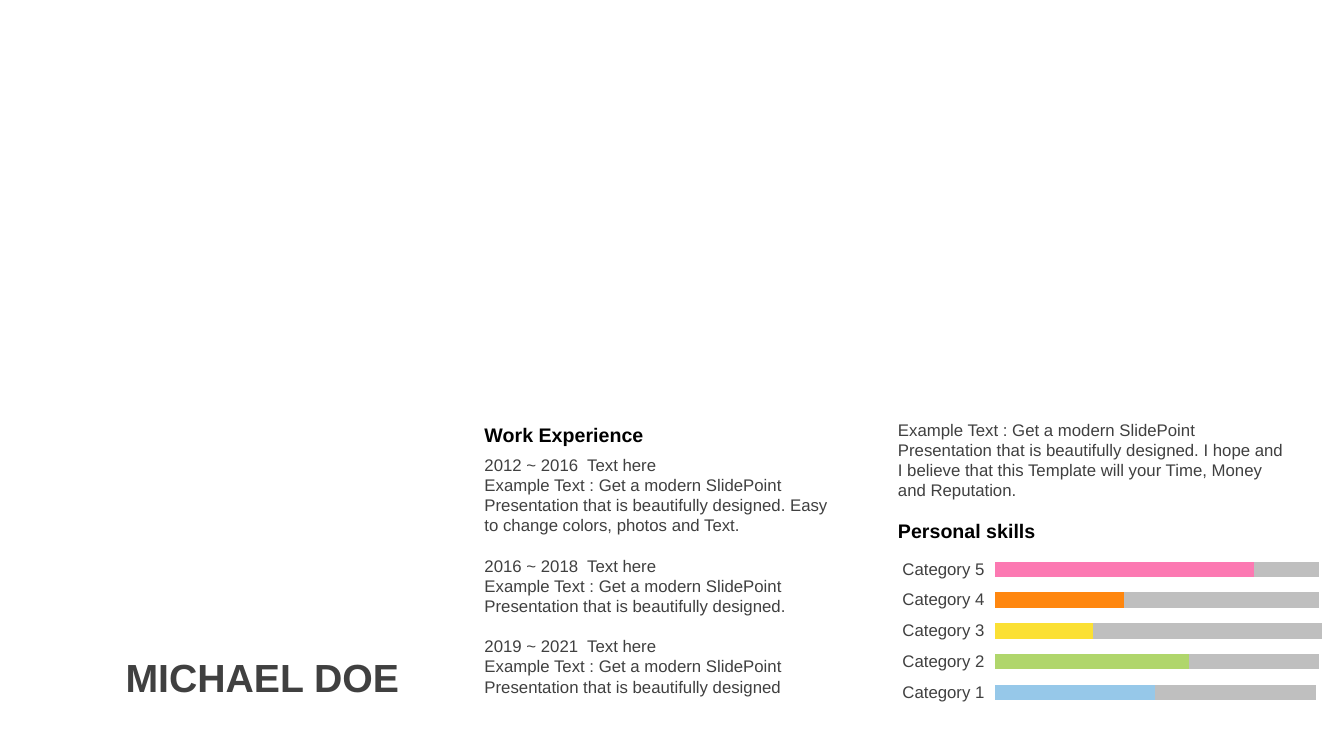
import pptx
import pptx.chart.data
import pptx.dml.color
import pptx.enum.chart
import pptx.enum.text
import pptx.oxml
import pptx.oxml.ns
import pptx.util

Cm = pptx.util.Cm
Pt = pptx.util.Pt
DARK = "404040"
BLACK = "000000"
EXAMPLE = "Example Text : Get a modern SlidePoint Presentation that is beautifully designed"
JOBS = [
    ("2012 ~ 2016  Text here", EXAMPLE + ". Easy to change colors, photos and Text."),
    ("2016 ~ 2018  Text here", EXAMPLE + "."),
    ("2019 ~ 2021  Text here", EXAMPLE),
]
SKILLS = [
    ("Category 1", 62, 62, "96C8E9"),
    ("Category 2", 75, 50, "B0D66C"),
    ("Category 3", 38, 88, "FBE034"),
    ("Category 4", 50, 75, "FF870F"),
    ("Category 5", 100, 25, "FC79B2"),
]


def color(value):
    return pptx.dml.color.RGBColor.from_string(value)


def write(para, text, size=12, fill=DARK, bold=False, before=0):
    span = para.add_run()
    span.text = text
    para.space_before = Pt(before)
    span.font.name = "Arial"
    span.font.size = Pt(size)
    span.font.bold = bold
    span.font.color.rgb = color(fill)


class Resume:
    """Builds the elements of a résumé page in one style."""

    def __init__(self, deck):
        self.page = deck.slides.add_slide(deck.slide_layouts[5])

    def title(self, text, left, top, width, height):
        box = self.page.shapes.title
        box.left, box.top, box.width, box.height = Cm(left), Cm(top), Cm(width), Cm(height)
        frame = box.text_frame
        frame.auto_size = pptx.enum.text.MSO_AUTO_SIZE.NONE
        frame.vertical_anchor = pptx.enum.text.MSO_ANCHOR.MIDDLE
        para = frame.paragraphs[0]
        para.alignment = pptx.enum.text.PP_ALIGN.CENTER
        para.line_spacing = 0.9
        write(para, text, size=28, bold=True)

    def text(self, left, top, width, height):
        box = self.page.shapes.add_textbox(Cm(left), Cm(top), Cm(width), Cm(height))
        box.text_frame.word_wrap = True
        return box.text_frame

    def heading(self, text, left, top, width):
        frame = self.text(left, top, width, 0.86)
        write(frame.paragraphs[0], text, size=14, fill=BLACK, bold=True)

    def body(self, text, left, top, width, height):
        write(self.text(left, top, width, height).paragraphs[0], text)

    def history(self, jobs, left, top, width, height):
        frame = self.text(left, top, width, height)
        for index, (period, detail) in enumerate(jobs):
            para = frame.add_paragraph() if index else frame.paragraphs[0]
            write(para, period, before=14.4 if index else 0)
            write(frame.add_paragraph(), detail)

    def skills(self, skills, left, top, width, height):
        names, levels, rests, fills = zip(*skills)
        data = pptx.chart.data.CategoryChartData()
        data.categories = names
        data.add_series("Series 1", levels)
        data.add_series("Series 2", rests)
        chart = self.page.shapes.add_chart(
            pptx.enum.chart.XL_CHART_TYPE.BAR_STACKED,
            Cm(left), Cm(top), Cm(width), Cm(height), data).chart
        chart.has_legend = False
        chart.has_title = False
        chart.font.name = "Arial"
        chart.font.size = Pt(18)
        chart.font.color.rgb = color(BLACK)
        axis = chart.category_axis
        axis.format.line.fill.background()
        axis.tick_labels.font.name = "Arial"
        axis.tick_labels.font.size = Pt(12)
        axis.tick_labels.font.color.rgb = color(DARK)
        scale = chart.value_axis
        scale.visible = False
        scale.has_major_gridlines = False
        scale.minimum_scale, scale.maximum_scale = 0, 150
        plot = chart.plots[0]
        plot.gap_width, plot.overlap, plot.vary_by_categories = 100, 100, False
        for series, fill in zip(plot.series, (fills[0], "BFBFBF")):
            series.format.fill.solid()
            series.format.fill.fore_color.rgb = color(fill)
        for index, fill in enumerate(fills[1:], 1):
            point = plot.series[0].points[index].format.fill
            point.solid()
            point.fore_color.rgb = color(fill)
        self.place_plot(chart, x=0.2, y=0.03, w=0.8, h=0.83)

    def place_plot(self, chart, **place):
        area = chart.element.find(".//" + pptx.oxml.ns.qn("c:plotArea")) if hasattr(
            chart, "element") else chart._chartSpace.chart.plotArea
        for old in area.findall(pptx.oxml.ns.qn("c:layout")):
            area.remove(old)
        sizes = "".join(f'<c:{key} val="{value}"/>' for key, value in place.items())
        area.insert(0, pptx.oxml.parse_xml(
            f'<c:layout {pptx.oxml.ns.nsdecls("c")}><c:manualLayout>'
            '<c:layoutTarget val="inner"/><c:xMode val="edge"/><c:yMode val="edge"/>'
            f'{sizes}</c:manualLayout></c:layout>'))


def main():
    deck = pptx.Presentation()
    deck.slide_width, deck.slide_height = Cm(33.87), Cm(19.05)
    resume = Resume(deck)
    resume.title("MICHAEL DOE", 2.51, 16.54, 8.2, 1.19)
    resume.heading("Personal skills", 22.38, 12.95, 8.71)
    resume.skills(SKILLS, 22.61, 13.82, 12.27, 4.67)
    resume.history(JOBS, 11.96, 11.33, 9.47, 6.4)
    resume.heading("Work Experience", 11.96, 10.52, 9.47)
    resume.body(
        EXAMPLE + ". I hope and I believe that this Template will your Time, Money and Reputation.",
        22.38, 10.44, 10.41, 2.31)
    deck.save("out.pptx")


if __name__ == "__main__":
    main()
